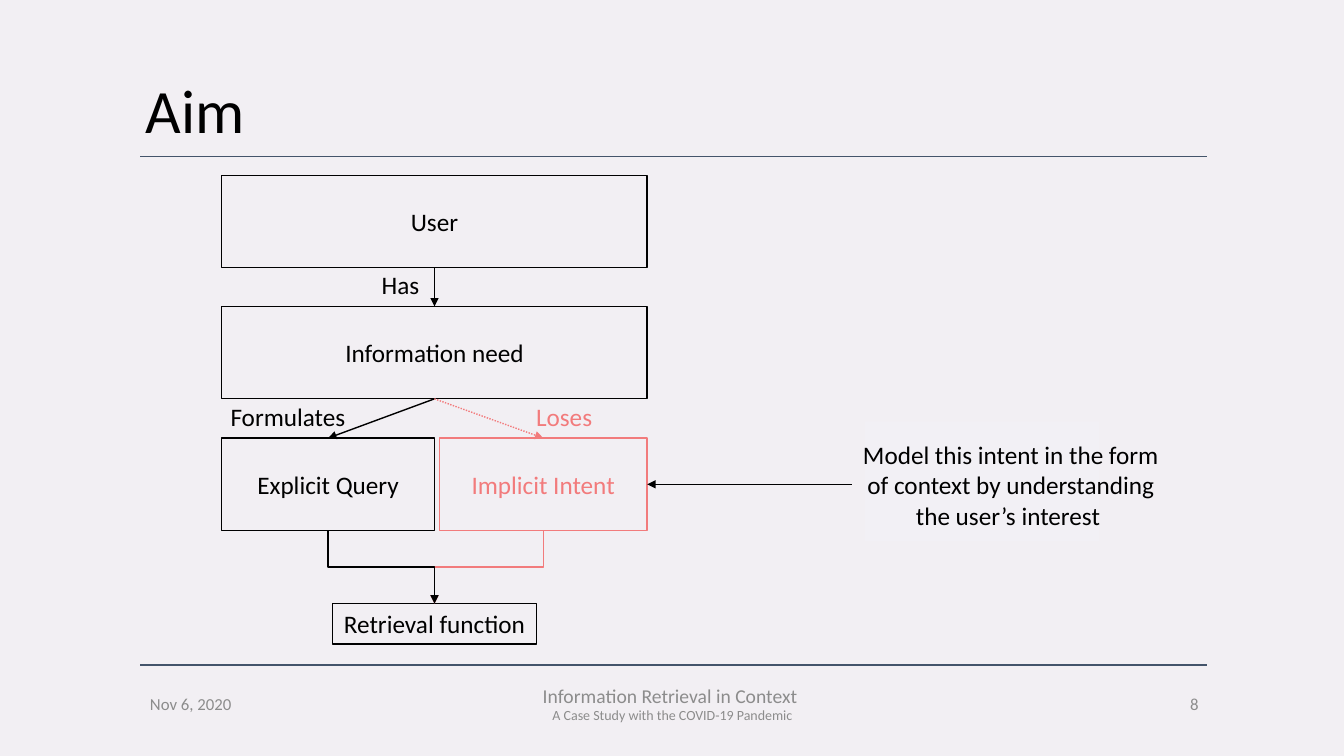
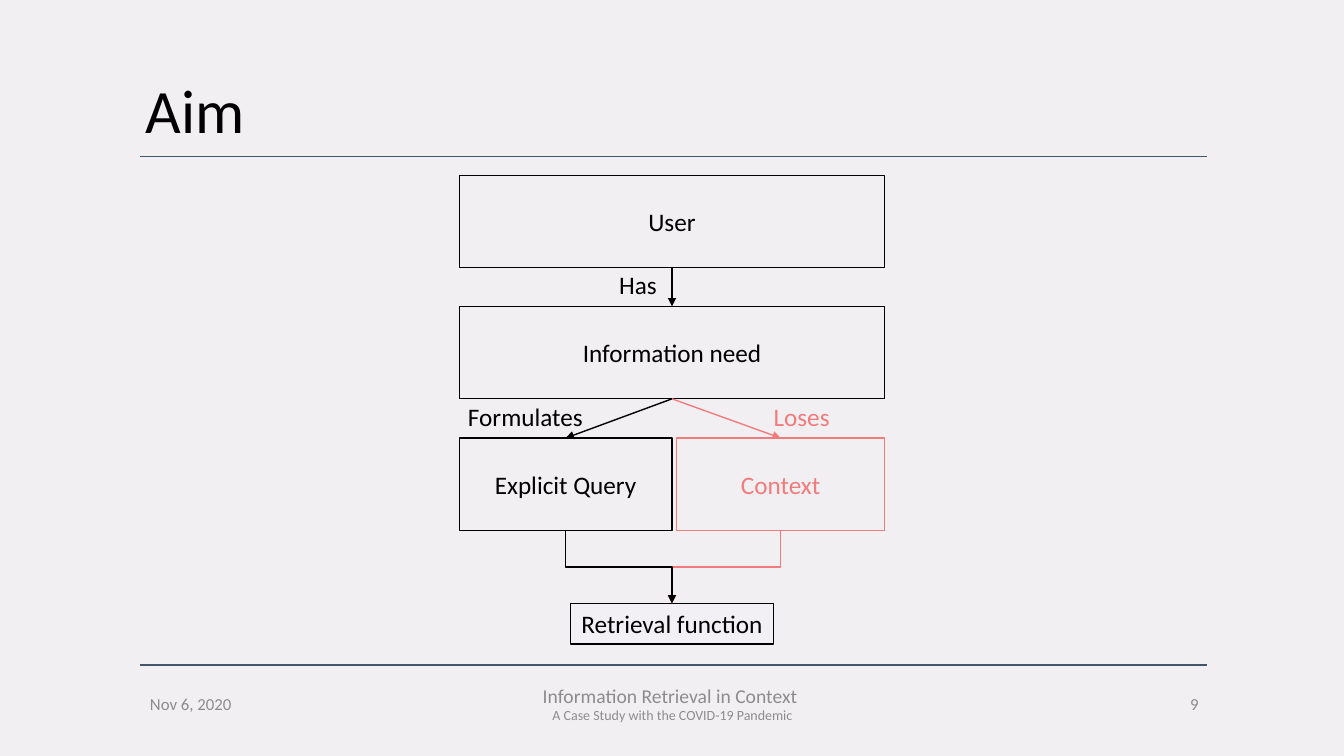
from dataclasses import dataclass

from lxml import etree
from pptx import Presentation
from pptx import util as u
from pptx.dml.color import RGBColor
from pptx.enum import dml, shapes, text
from pptx.oxml import ns

INK, CORAL, RULE, GREY = "000000", "F27B7C", "44546A", "8C8C8C"
BACKGROUND, PALE = "EFECF1", "F2F0F5"
FONT = "Calibri"
LEFT, CENTER, RIGHT = text.PP_ALIGN.LEFT, text.PP_ALIGN.CENTER, text.PP_ALIGN.RIGHT
TOP, MIDDLE = text.MSO_ANCHOR.TOP, text.MSO_ANCHOR.MIDDLE

SLIDE_W, SLIDE_H = 33.87, 19.05
RULE_LEFT, RULE_RIGHT = 3.53, 30.43
FOOTER_TOP, LINE_H = 17.22, 1.02

# Flow chart measures in cm; x values count from the chart's left edge
CHART_W, BOX_H = 10.72, 2.33
AXIS = CHART_W / 2
USER_TOP, NEED_TOP, SPLIT_TOP, RETRIEVAL_TOP = 4.42, 7.72, 11.04, 15.21
QUERY_X = AXIS / 2
LOST_LEFT = 5.48
LOST_W = CHART_W - LOST_LEFT
LOST_X = LOST_LEFT + LOST_W / 2
RETRIEVAL_W = 5.13


@dataclass(frozen=True)
class Area:
    left: float
    top: float
    width: float
    height: float

    def lengths(self) -> list:
        return [u.Cm(v) for v in (self.left, self.top, self.width, self.height)]

    def moved(self, dx: float) -> "Area":
        return Area(self.left + dx, self.top, self.width, self.height)


@dataclass(frozen=True)
class Words:
    """Paragraphs with one size each, sharing colour and alignment."""
    lines: tuple[str, ...]
    sizes: tuple[float, ...] = (18,)
    color: str = INK
    align: text.PP_ALIGN = CENTER
    anchor: text.MSO_ANCHOR = MIDDLE
    wrap: bool = True
    spacing: float = 1.0


@dataclass(frozen=True)
class Box:
    area: Area
    label: str
    color: str = INK
    line_width: float = 1
    fill: str | None = None
    wrap: bool = True


@dataclass(frozen=True)
class AimSlide:
    number: int
    chart_left: float
    lost: str
    lost_dash: dml.MSO_LINE | None = None
    retrieval_fill: str | None = None
    note: str | None = None


AIMS = (
    AimSlide(8, 5.59, "Implicit Intent", lost_dash=dml.MSO_LINE.ROUND_DOT,
             note="Model this intent in the form of context by "
                  "understanding the user’s interest "),
    AimSlide(9, SLIDE_W / 2 - AXIS, "Context", retrieval_fill=PALE),
)


def rgb(color: str) -> RGBColor:
    return RGBColor.from_string(color)


def apply(target, values: dict) -> None:
    for key, value in values.items():
        setattr(target, key, value)


def write(frame, words: Words) -> None:
    apply(frame, {"word_wrap": words.wrap, "vertical_anchor": words.anchor})
    for index, (line, size) in enumerate(zip(words.lines, words.sizes)):
        paragraph = frame.add_paragraph() if index else frame.paragraphs[0]
        apply(paragraph, {"alignment": words.align, "line_spacing": words.spacing})
        run = paragraph.add_run()
        run.text = line
        apply(run.font, {"name": FONT, "size": u.Pt(size)})
        run.font.color.rgb = rgb(words.color)


def add_words(slide, area: Area, words: Words) -> None:
    write(slide.shapes.add_textbox(*area.lengths()).text_frame, words)


def add_rectangle(slide, area: Area, fill: str | None = None):
    """Add a rectangle without outline or shadow."""
    rectangle = slide.shapes.add_shape(shapes.MSO_SHAPE.RECTANGLE, *area.lengths())
    rectangle.shadow.inherit = False
    rectangle.line.fill.background()
    if fill:
        rectangle.fill.solid()
        rectangle.fill.fore_color.rgb = rgb(fill)
    else:
        rectangle.fill.background()
    return rectangle


def add_box(slide, box: Box) -> None:
    rectangle = add_rectangle(slide, box.area, box.fill)
    rectangle.line.color.rgb = rgb(box.color)
    rectangle.line.width = u.Pt(box.line_width)
    write(rectangle.text_frame, Words((box.label,), color=box.color, wrap=box.wrap))


def add_line(slide, start: tuple[float, float], end: tuple[float, float],
             color: str = INK, arrow: bool = True, dash=None,
             kind=shapes.MSO_CONNECTOR.STRAIGHT):
    line = slide.shapes.add_connector(kind, *(u.Cm(v) for v in start + end))
    line.line.color.rgb = rgb(color)
    apply(line.line, {"width": u.Pt(1), "dash_style": dash})
    if arrow:
        outline = line.line._get_or_add_ln()
        etree.SubElement(outline, ns.qn("a:tailEnd"), type="triangle")
    etree.SubElement(line._element.spPr, ns.qn("a:effectLst"))
    return line


def add_elbow(slide, start: tuple[float, float], end: tuple[float, float],
              color: str) -> None:
    """Draw a bent arrow that leaves downwards, as a turned elbow connector."""
    (x1, y1), (x2, y2) = start, end
    mid_x, mid_y = (x1 + x2) / 2, (y1 + y2) / 2
    from_right = x1 > x2
    reach = (y2 - y1) / 2 * (-1 if from_right else 1)
    rise = abs(x2 - x1) / 2
    elbow = add_line(slide, (mid_x + reach, mid_y - rise),
                     (mid_x - reach, mid_y + rise), color,
                     kind=shapes.MSO_CONNECTOR.ELBOW)
    degrees = 90 if from_right else 270
    elbow._element.spPr.find(ns.qn("a:xfrm")).set("rot", str(degrees * 60000))


def add_frame(slide, title: str, number: int) -> None:
    """Draw the rules, title and footer that every slide carries."""
    for y in (16.76, 3.94):
        add_line(slide, (RULE_LEFT, y), (RULE_RIGHT, y), RULE, arrow=False)
    add_words(slide, Area(3.43, 1.02, 29.21, 3.68),
              Words((title,), (44,), align=LEFT, spacing=0.9))
    footers = (
        (23.93, 6.53, (str(number),), (12,), RIGHT),
        (RULE_LEFT, 6.43, ("Nov 6, 2020",), (12,), LEFT),
        (11.23, 11.43, ("Information Retrieval in Context ",
                        "A Case Study with the COVID-19 Pandemic"), (14, 10), CENTER),
    )
    for left, width, lines, sizes, align in footers:
        add_words(slide, Area(left, FOOTER_TOP, width, LINE_H),
                  Words(lines, sizes, GREY, align))


def add_flow_chart(slide, aim: AimSlide) -> None:
    def at(x: float, y: float) -> tuple[float, float]:
        return aim.chart_left + x, y

    boxes = (
        Box(Area(0, USER_TOP, CHART_W, BOX_H), "User"),
        Box(Area(0, NEED_TOP, CHART_W, BOX_H), "Information need"),
        Box(Area(0, SPLIT_TOP, AXIS, BOX_H), "Explicit Query"),
        Box(Area(LOST_LEFT, SPLIT_TOP, LOST_W, BOX_H), aim.lost, CORAL),
        Box(Area(AXIS - RETRIEVAL_W / 2, RETRIEVAL_TOP, RETRIEVAL_W, LINE_H),
            "Retrieval function", line_width=0.75, fill=aim.retrieval_fill, wrap=False),
    )
    for box in boxes:
        add_box(slide, Box(box.area.moved(aim.chart_left), box.label, box.color,
                           box.line_width, box.fill, box.wrap))

    need_bottom = at(AXIS, NEED_TOP + BOX_H)
    add_line(slide, at(AXIS, USER_TOP + BOX_H), at(AXIS, NEED_TOP))
    add_line(slide, need_bottom, at(QUERY_X, SPLIT_TOP))
    add_line(slide, need_bottom, at(LOST_X, SPLIT_TOP), CORAL, dash=aim.lost_dash)

    relations = (
        ("Has", Area(3.78, 6.65, 1.47, LINE_H), INK),
        ("Formulates", Area(-0.03, 9.98, 3.43, LINE_H), INK),
        ("Loses", Area(7.67, 9.98, 1.93, LINE_H), CORAL),
    )
    for relation, area, color in relations:
        add_words(slide, area.moved(aim.chart_left),
                  Words((relation,), color=color, align=LEFT, anchor=TOP, wrap=False))

    for x, color in ((LOST_X, CORAL), (QUERY_X, INK)):
        add_elbow(slide, at(x, SPLIT_TOP + BOX_H), at(AXIS, RETRIEVAL_TOP), color)


def add_note(slide, note: str, chart_right: float) -> None:
    area = Area(21.46, 9.93, 8.03, 4.57)
    y = SPLIT_TOP + BOX_H / 2
    add_line(slide, (area.left, y), (chart_right, y))
    add_rectangle(slide, Area(21.79, 10.62, 5.92, 3.02), PALE)
    add_words(slide, area, Words((note,)))


def set_background(master) -> None:
    fill = master.background.fill
    fill.solid()
    fill.fore_color.rgb = rgb(BACKGROUND)
    tint = master._element.find(".//" + ns.qn("p:bgPr")).find(".//" + ns.qn("a:srgbClr"))
    etree.SubElement(tint, ns.qn("a:alpha"), val="80000")


def main() -> None:
    deck = Presentation()
    apply(deck, {"slide_width": u.Cm(SLIDE_W), "slide_height": u.Cm(SLIDE_H)})
    set_background(deck.slide_master)
    for aim in AIMS:
        slide = deck.slides.add_slide(deck.slide_layouts[6])
        add_frame(slide, "Aim", aim.number)
        add_flow_chart(slide, aim)
        if aim.note:
            add_note(slide, aim.note, aim.chart_left + CHART_W)
    deck.save("out.pptx")


if __name__ == "__main__":
    main()
